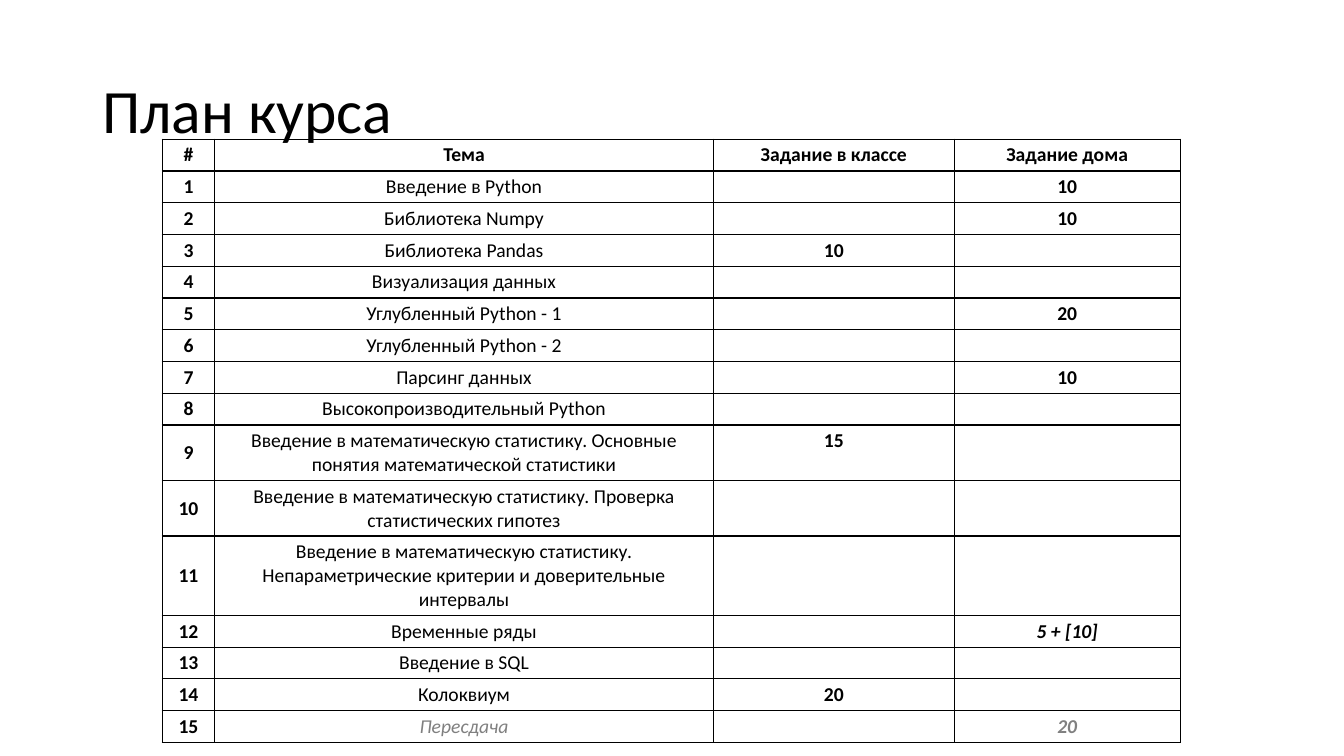
from dataclasses import dataclass

from lxml import etree
from pptx import Presentation, util as u
from pptx.dml.color import RGBColor
from pptx.enum import text
from pptx.oxml.ns import qn


@dataclass(frozen=True)
class Theme:
    font: str = "Calibri"
    black: str = "000000"
    grey: str = "808080"
    title_size: int = 44
    table_size: int = 14
    border_width: int = 1


@dataclass(frozen=True)
class Lesson:
    number: str
    topic: str
    in_class: str = ""
    at_home: str = ""
    lines: int = 1
    topic_bold: bool = False
    topic_italic: bool = False
    home_italic: bool = False
    color: str = "000000"


THEME = Theme()
TABLE_LEFT, TABLE_TOP = 4.09, 3.51
COLUMN_WIDTHS = (1.32, 12.57, 6.07, 5.69)
MARGIN_X, MARGIN_Y, LINE_HEIGHT = 0.25, 0.1, 0.6

LESSONS = [
    Lesson("#", "Тема", "Задание в классе", "Задание дома", topic_bold=True),
    Lesson("1", "Введение в Python", at_home="10"),
    Lesson("2", "Библиотека Numpy", at_home="10"),
    Lesson("3", "Библиотека Pandas", in_class="10"),
    Lesson("4", "Визуализация данных"),
    Lesson("5", "Углубленный Python - 1", at_home="20"),
    Lesson("6", "Углубленный Python - 2"),
    Lesson("7", "Парсинг данных", at_home="10"),
    Lesson("8", "Высокопроизводительный Python"),
    Lesson("9", "Введение в математическую статистику. Основные понятия "
           "математической статистики", in_class="15", lines=2),
    Lesson("10", "Введение в математическую статистику. Проверка "
           "статистических гипотез", lines=2),
    Lesson("11", "Введение в математическую статистику. Непараметрические "
           "критерии и доверительные интервалы", lines=3),
    Lesson("12", "Временные ряды", at_home="5 + [10]", home_italic=True),
    Lesson("13", "Введение в SQL"),
    Lesson("14", "Колоквиум", in_class="20"),
    Lesson("15", "Пересдача", at_home="20", topic_italic=True,
           home_italic=True, color=THEME.grey),
]


def write(tf, content: str, *, size: int, color: str = THEME.black,
          bold: bool = False, italic: bool = False,
          align=text.PP_ALIGN.LEFT, spacing: float = 1.0) -> None:
    p = tf.paragraphs[0]
    p.alignment = align
    p.line_spacing = spacing
    if not content:
        # The end mark keeps an empty cell as low as a filled one.
        etree.SubElement(p._p, qn("a:endParaRPr"), sz=str(size * 100))
        return
    r = p.add_run()
    r.text = content
    r.font.name = THEME.font
    r.font.size = u.Pt(size)
    r.font.bold = bold
    r.font.italic = italic
    r.font.color.rgb = RGBColor.from_string(color)


def add_borders(cell) -> None:
    tc_pr = cell._tc.get_or_add_tcPr()
    for side in ("lnL", "lnR", "lnT", "lnB"):
        ln = etree.SubElement(tc_pr, qn(f"a:{side}"),
                              w=str(u.Pt(THEME.border_width)))
        fill = etree.SubElement(ln, qn("a:solidFill"))
        etree.SubElement(fill, qn("a:srgbClr"), val=THEME.black)


def format_cell(cell, anchor) -> None:
    cell.margin_left = cell.margin_right = u.Cm(MARGIN_X)
    cell.margin_top = cell.margin_bottom = u.Cm(MARGIN_Y)
    cell.vertical_anchor = anchor
    add_borders(cell)
    cell.fill.background()


def add_title(s, content: str) -> None:
    sp = s.shapes.add_textbox(u.Cm(2.33), u.Cm(1.01), u.Cm(29.21), u.Cm(3.68))
    tf = sp.text_frame
    tf.word_wrap = True
    tf.vertical_anchor = text.MSO_ANCHOR.MIDDLE
    write(tf, content, size=THEME.title_size, spacing=0.9)


def add_plan(s, lessons: list[Lesson]) -> None:
    heights = [2 * MARGIN_Y + LINE_HEIGHT * lesson.lines for lesson in lessons]
    table = s.shapes.add_table(
        len(lessons), len(COLUMN_WIDTHS), u.Cm(TABLE_LEFT), u.Cm(TABLE_TOP),
        u.Cm(sum(COLUMN_WIDTHS)), u.Cm(sum(heights))).table
    table.first_row = table.horz_banding = False
    for column, width in zip(table.columns, COLUMN_WIDTHS):
        column.width = u.Cm(width)
    for row, height, lesson in zip(table.rows, heights, lessons):
        row.height = u.Cm(height)
        entries = (
            (lesson.number, True, False, THEME.black),
            (lesson.topic, lesson.topic_bold, lesson.topic_italic, lesson.color),
            (lesson.in_class, True, False, lesson.color),
            (lesson.at_home, True, lesson.home_italic, lesson.color),
        )
        for i, (content, bold, italic, color) in enumerate(entries):
            cell = row.cells[i]
            format_cell(cell, text.MSO_ANCHOR.TOP if i else text.MSO_ANCHOR.MIDDLE)
            write(cell.text_frame, content, size=THEME.table_size, color=color,
                  bold=bold, italic=italic, align=text.PP_ALIGN.CENTER)


def main() -> None:
    prs = Presentation()
    prs.slide_width, prs.slide_height = u.Cm(33.87), u.Cm(19.05)
    s = prs.slides.add_slide(prs.slide_layouts[6])
    add_title(s, "План курса")
    add_plan(s, LESSONS)
    prs.save("out.pptx")


if __name__ == "__main__":
    main()
